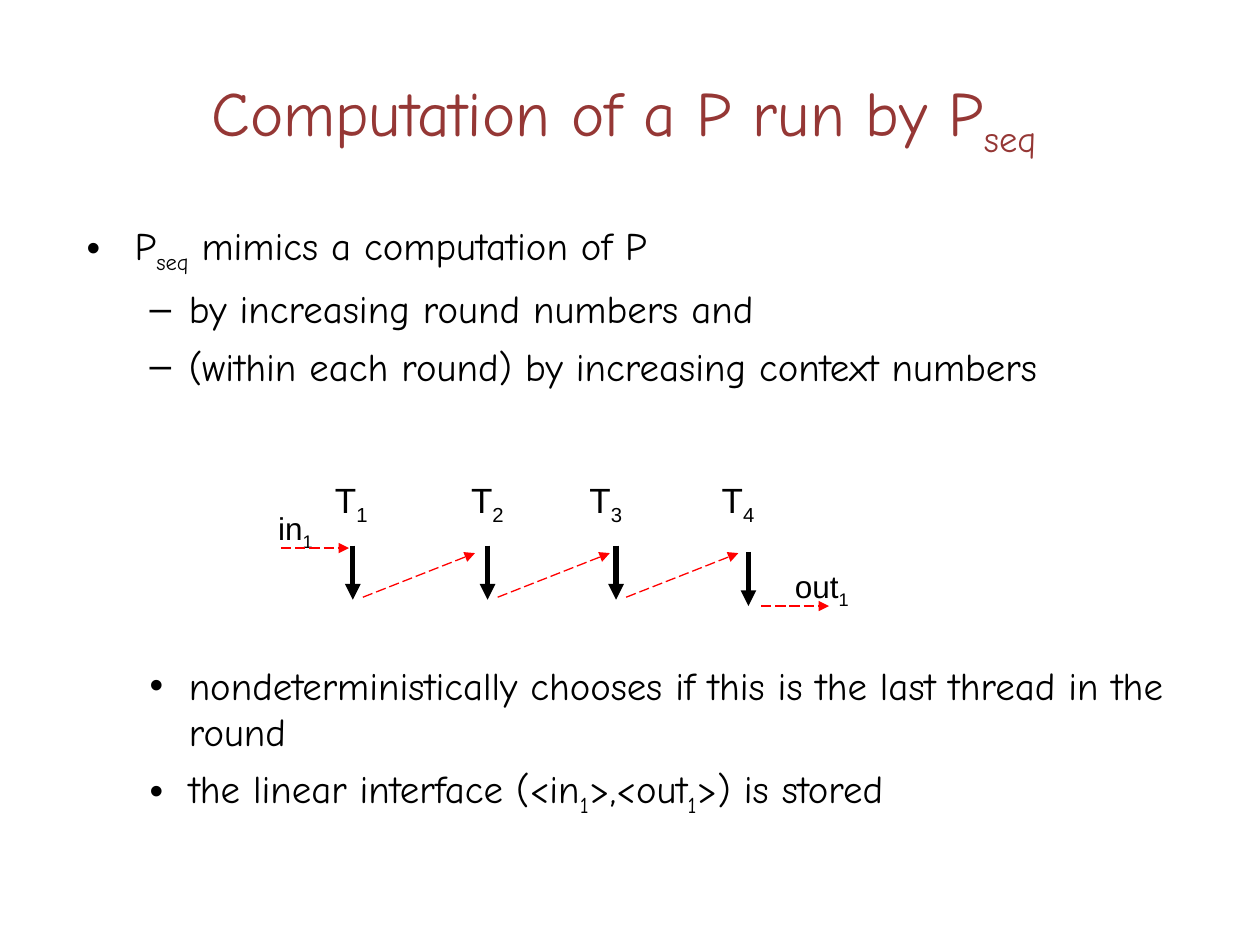
from lxml.etree import SubElement
from pptx import Presentation
from pptx.dml.color import RGBColor
from pptx.enum.dml import MSO_LINE
from pptx.enum.shapes import MSO_CONNECTOR
from pptx.enum.text import MSO_ANCHOR, PP_ALIGN
from pptx.oxml.ns import qn
from pptx.util import Inches, Pt

BLACK = "000000"
RED = "FF0000"
TITLE_RED = "953735"


def color(hex_value):
    return RGBColor.from_string(hex_value)


def add_bullet(paragraph, character, indent, hanging):
    properties = paragraph._p.get_or_add_pPr()
    properties.set("marL", str(Inches(indent)))
    properties.set("indent", str(-Inches(hanging)))
    SubElement(properties, qn("a:buFont")).set("typeface", "Arial")
    SubElement(properties, qn("a:buChar")).set("char", character)


def write(paragraph, text, size=22.2, font="Comic Neue", fill=BLACK,
          align=PP_ALIGN.LEFT, before=0, bullet=None):
    paragraph.alignment = align
    paragraph.space_before = Pt(before)
    if bullet:
        add_bullet(paragraph, *bullet)
    for index, part in enumerate(text.split("|")):
        if not part:
            continue
        run = paragraph.add_run()
        run.text = part
        run.font.size = Pt(size)
        run.font.name = font
        run.font.color.rgb = color(fill)
        if index % 2:
            run._r.get_or_add_rPr().set("baseline", "-25000")


def add_frame(slide, left, top, width, height, wrap=True):
    frame = slide.shapes.add_textbox(
        Inches(left), Inches(top), Inches(width), Inches(height)).text_frame
    frame.word_wrap = wrap
    return frame


def add_arrow(slide, x, y, dx, dy, fill=RED, width=0.75, dash=MSO_LINE.LONG_DASH):
    arrow = slide.shapes.add_connector(
        MSO_CONNECTOR.STRAIGHT, Inches(x), Inches(y), Inches(x + dx), Inches(y + dy))
    arrow.line.color.rgb = color(fill)
    arrow.line.width = Pt(width)
    arrow.line.dash_style = dash
    SubElement(arrow.line._get_or_add_ln(), qn("a:tailEnd")).set("type", "triangle")
    SubElement(arrow._element.spPr, qn("a:effectLst"))


def add_title(slide, left, top, width, height):
    frame = add_frame(slide, left, top, width, height)
    frame.vertical_anchor = MSO_ANCHOR.MIDDLE
    write(frame.paragraphs[0], "Computation of a P run by P|seq |",
          size=36, fill=TITLE_RED, align=PP_ALIGN.CENTER)


def add_points(slide, left, top, width, height, points):
    frame = add_frame(slide, left, top, width, height)
    for index, (text, bullet) in enumerate(points):
        paragraph = frame.add_paragraph() if index else frame.paragraphs[0]
        write(paragraph, text, before=6 if index else 0, bullet=bullet)


def add_label(slide, left, top, width, height, text, size):
    frame = add_frame(slide, left, top, width, height, wrap=False)
    write(frame.paragraphs[0], text, size=size, font="Arial")


def add_round(slide, left, top):
    threads = [(0.69, 0.58, 0.45), (1.76, 0.58, 1.53),
               (2.78, 0.58, 2.47), (3.83, 0.63, 3.52)]
    for number, (x, y, label_x) in enumerate(threads, 1):
        add_label(slide, left + label_x, top, 0.6, 0.48, f"T|{number}|", 20)
        add_arrow(slide, left + x, top + y, 0, 0.43, BLACK, 3, MSO_LINE.SOLID)
        if number < len(threads):
            add_arrow(slide, left + x + 0.08, top + y + 0.41, 0.89, -0.35)
    add_label(slide, left, top + 0.24, 0.6, 0.44, "in|1|", 18)
    add_arrow(slide, left + 0.12, top + 0.6, 0.54, 0)
    add_label(slide, left + 4.1, top + 0.7, 0.92, 0.44, "out|1|", 18)
    add_arrow(slide, left + 3.93, top + 1.06, 0.54, 0)


def main():
    presentation = Presentation()
    presentation.slide_width = Inches(10)
    presentation.slide_height = Inches(7.5)
    slide = presentation.slides.add_slide(presentation.slide_layouts[6])
    main_point = ("•", 0.38, 0.38)
    dash_point = ("–", 0.81, 0.31)
    sub_point = ("•", 0.81, 0.31)
    add_title(slide, 0.5, 0.3, 9, 1.25)
    add_points(slide, 0.59, 1.71, 9, 1.5, [
        ("P|seq| mimics a computation of P", main_point),
        ("by increasing round numbers and", dash_point),
        ("(within each round) by increasing context numbers", dash_point),
    ])
    add_round(slide, 2.11, 3.75)
    add_points(slide, 0.59, 5.2, 9, 1.46, [
        ("nondeterministically chooses if this is the last thread in the round", sub_point),
        ("the linear interface (<in|1|>,<out|1|>) is stored", sub_point),
    ])
    presentation.save("out.pptx")


if __name__ == "__main__":
    main()
